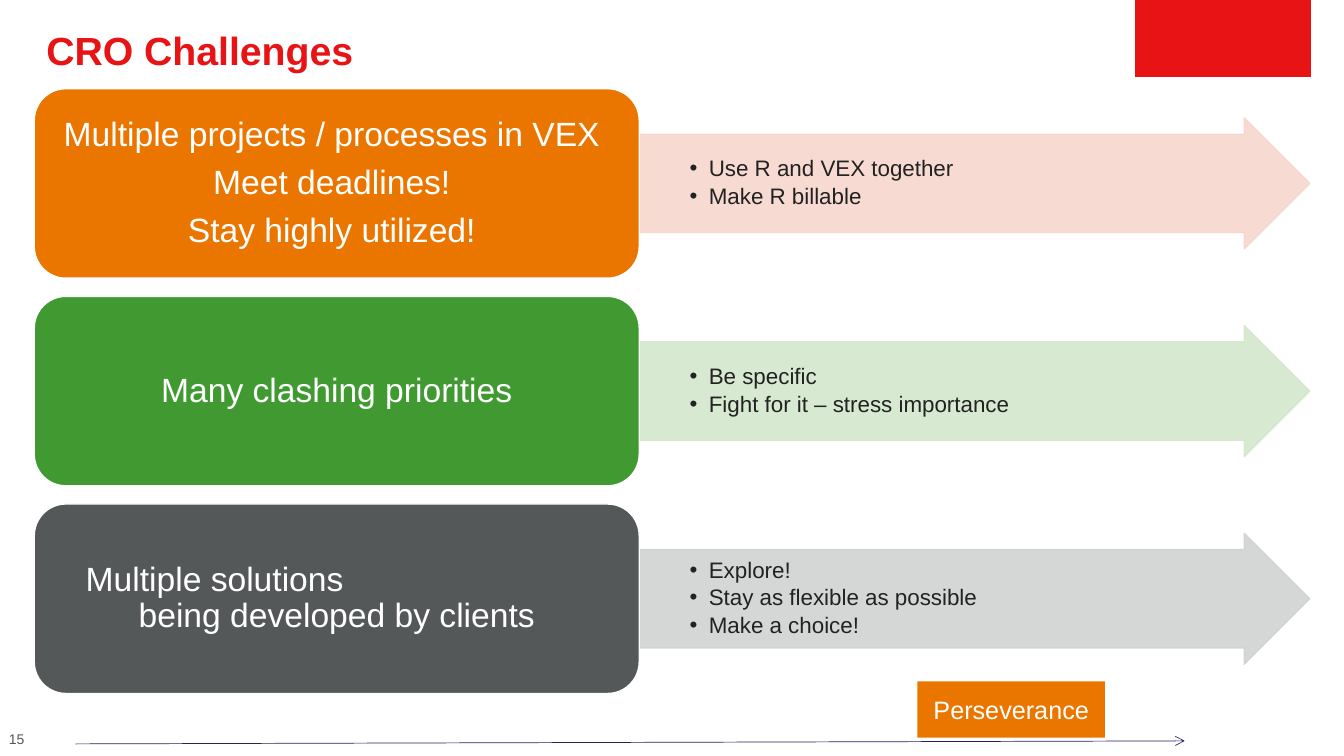
from pptx import Presentation
from pptx.dml.color import RGBColor
from pptx.enum import shapes, text
from pptx.oxml import ns, xmlchemy as xml
from pptx.util import Inches, Pt

RED = RGBColor(0xE7, 0x13, 0x14)
ORANGE = RGBColor(0xEA, 0x76, 0x00)
GREEN = RGBColor(0x41, 0x9A, 0x31)
GRAY = RGBColor(0x54, 0x58, 0x59)
ROSE = RGBColor(0xF7, 0xD6, 0xCC)
MINT = RGBColor(0xD4, 0xE7, 0xCC)
SILVER = RGBColor(0xD1, 0xD2, 0xD2)
NAVY = RGBColor(0x26, 0x21, 0x60)
INK = RGBColor(0x22, 0x22, 0x22)
WHITE = RGBColor(0xFF, 0xFF, 0xFF)

KIND = shapes.MSO_SHAPE
LEFT, CENTER = text.PP_ALIGN.LEFT, text.PP_ALIGN.CENTER
TOP, MIDDLE = text.MSO_ANCHOR.TOP, text.MSO_ANCHOR.MIDDLE


def add(parent, tag, **attrs):
    node = xml.OxmlElement(tag)
    for key, value in attrs.items():
        node.set(key, value)
    parent.append(node)
    return node


def write(shape, lines, size=24, color=WHITE, bold=False, align=CENTER,
          anchor=MIDDLE, inset=(0, 0, 0, 0), lead=0.9, after=0, bullet=False):
    frame = shape.text_frame
    frame.word_wrap = True
    frame.vertical_anchor = anchor
    (frame.margin_left, frame.margin_top,
     frame.margin_right, frame.margin_bottom) = map(Inches, inset)
    for i, line in enumerate(lines):
        para = frame.add_paragraph() if i else frame.paragraphs[0]
        para.alignment = align
        para.line_spacing = lead
        para.space_before = Pt(0)
        para.space_after = Pt(after)
        if bullet:
            props = para._p.get_or_add_pPr()
            props.set("marL", str(Inches(0.19)))
            props.set("indent", str(Inches(-0.19)))
            add(props, "a:buFont", typeface="Arial")
            add(props, "a:buChar", char="•")
        run = para.add_run()
        run.text = line
        font = run.font
        font.name, font.size, font.bold = "Arial", Pt(size), bold
        font.color.rgb = color
    return frame.paragraphs


class Page:
    def __init__(self, slide):
        self.items = slide.shapes

    def label(self, box, lines, **style):
        return write(self.items.add_textbox(*map(Inches, box)), lines, **style)

    def block(self, kind, box, fill, edge=None, adjust=()):
        shape = self.items.add_shape(kind, *map(Inches, box))
        shape.shadow.inherit = False
        for i, value in enumerate(adjust):
            shape.adjustments[i] = value
        shape.fill.solid()
        shape.fill.fore_color.rgb = fill
        if edge is None:
            shape.line.fill.background()
        else:
            shape.line.color.rgb = edge
            shape.line.width = Pt(1)
        return shape

    def arrow(self, box, tint, lines):
        shape = self.block(KIND.RIGHT_ARROW, box, tint, tint, (0.75, 0.5))
        for color in shape._element.spPr.iter(ns.qn("a:srgbClr")):
            add(color, "a:alpha", val="90000")
        write(shape, lines, size=16, color=INK, align=LEFT, after=2.4,
              inset=(0.5, 0.1, 0.01, 0.1), bullet=True)

    def card(self, box, fill, lines, inset, after):
        shape = self.block(KIND.ROUNDED_RECTANGLE, box, fill, WHITE)
        return write(shape, lines, inset=inset, after=after)

    def line(self, start, end, color, width):
        link = self.items.add_connector(
            shapes.MSO_CONNECTOR.STRAIGHT, *map(Inches, start + end))
        link.line.color.rgb = color
        link.line.width = Pt(width)
        add(link.line._get_or_add_ln(), "a:tailEnd", type="arrow")
        add(link._element.spPr, "a:effectLst")


def main():
    deck = Presentation()
    deck.slide_width, deck.slide_height = Inches(13.33), Inches(7.5)
    page = Page(deck.slides.add_slide(deck.slide_layouts[6]))

    page.block(KIND.PARALLELOGRAM, (11.26, 0, 1.74, 0.76), RED, adjust=(0,))
    page.label((0, 7.17, 0.33, 0.33), ["15"], size=10, color=GRAY, lead=1)
    page.label((0.46, 0.31, 10.67, 0.42), ["CRO Challenges"], size=28,
               color=RED, bold=True, align=LEFT, anchor=TOP)

    wide = (0.1, 0.05, 0.1, 0.05)
    rows = [
        (ORANGE, ROSE, (0, 0.05, 0.1, 0.05), 8.4,
         ["Multiple projects / processes in VEX", "Meet deadlines!",
          "Stay highly utilized!"],
         ["Use R and VEX together", "Make R billable"]),
        (GREEN, MINT, wide, 0, ["Many clashing priorities"],
         ["Be specific", "Fight for it – stress importance"]),
        (GRAY, SILVER, wide, 0,
         ["Multiple solutions", "being developed by clients"],
         ["Explore!", "Stay as flexible as possible", "Make a choice!"]),
    ]
    for i, (fill, tint, inset, after, head, points) in enumerate(rows):
        top = 0.88 + 2.06 * i
        page.arrow((6.34, top + 0.29, 6.65, 1.3), tint, points)
        paras = page.card((0.34, top, 6, 1.88), fill, head, inset, after)
    paras[0].alignment = LEFT
    paras[0]._p.get_or_add_pPr().set("marL", str(Inches(0.32)))

    tag = page.block(KIND.RECTANGLE, (9.1, 6.76, 1.86, 0.56), ORANGE)
    write(tag, ["Perseverance"], size=18, lead=1)
    page.line((0.75, 7.38), (11.75, 7.35), NAVY, 0.5)
    deck.save("out.pptx")


if __name__ == "__main__":
    main()
